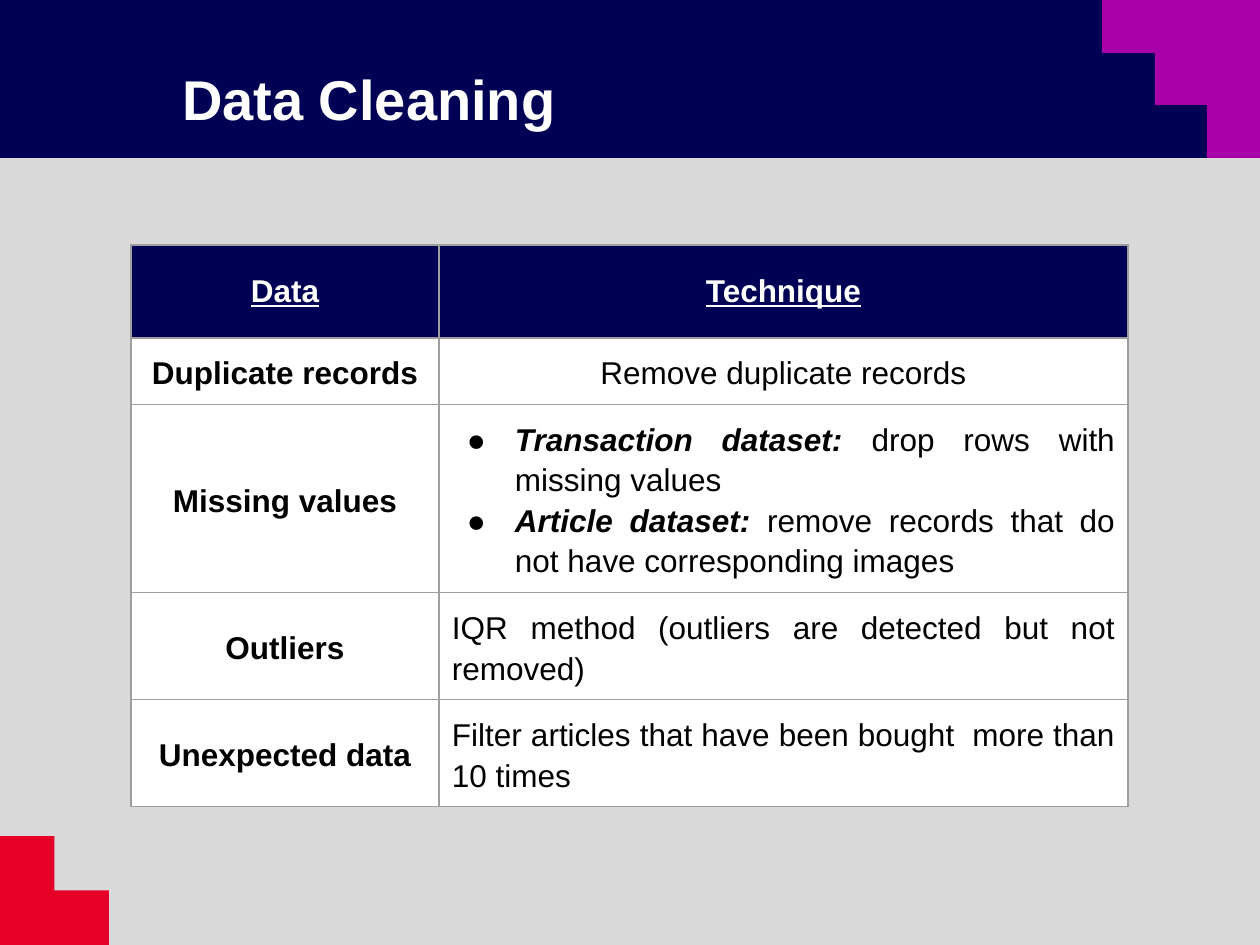
from dataclasses import dataclass

from lxml.etree import SubElement
from pptx import Presentation
from pptx.dml.color import RGBColor
from pptx.enum.shapes import MSO_SHAPE as Shape
from pptx.enum.text import MSO_ANCHOR as Anchor, MSO_AUTO_SIZE as Auto, PP_ALIGN as Align
from pptx.oxml.ns import qn
from pptx.util import Pt

SCALE = 914400 / 126  # EMU in one px
NAVY, RED, PLUM = "000054", "E60028", "AA00AA"
GRAY, LINE, WHITE, BLACK = "D9D9D9", "9E9E9E", "FFFFFF", "000000"
PAD = 13


@dataclass
class Line:
    text: str
    lead: str = ""  # bold italic words that open a bulleted line


@dataclass
class Row:
    height: int
    label: str
    lines: list[Line]
    align: Align = Align.JUSTIFY
    head: bool = False


COLS = [308, 689]
ROWS = [
    Row(93, "Data", [Line("Technique")], Align.CENTER, head=True),
    Row(66, "Duplicate records", [Line("Remove duplicate records")], Align.CENTER),
    Row(187, "Missing values", [
        Line(" drop rows with missing values", "Transaction dataset:"),
        Line(" remove records that do not have corresponding images", "Article dataset:"),
    ]),
    Row(106, "Outliers", [Line("IQR method (outliers are detected but not removed)")]),
    Row(106, "Unexpected data",
        [Line("Filter articles that have been bought  more than 10 times")]),
]


def px(n: int) -> int:
    return round(n * SCALE)


def color(code: str) -> RGBColor:
    return RGBColor.from_string(code)


def paint(item, code: str) -> None:
    item.fill.solid()
    item.fill.fore_color.rgb = color(code)


def plain(shape, code: str) -> None:
    paint(shape, code)
    shape.line.fill.background()
    shape.shadow.inherit = False


def block(shapes, kind: Shape, x: int, y: int, w: int, h: int, code: str) -> None:
    plain(shapes.add_shape(kind, px(x), px(y), px(w), px(h)), code)


def stairs(shapes) -> None:
    """Draw the three steps in the top right corner."""
    edges = [0, 53, 105, 158]
    left, right = 1102, 1260
    points = [(right, 0), (right, edges[-1])]
    for low, high in reversed(list(zip(edges, edges[1:]))):
        points += [(left + low, high), (left + low, low)]
    build = shapes.build_freeform(left, 0, scale=SCALE)
    build.add_line_segments(points, close=True)
    plain(build.convert_to_shape(), PLUM)


def style(font, size: int, code: str, bold: bool | None = None) -> None:
    font.name, font.size, font.bold = "Arial", Pt(size), bold
    font.color.rgb = color(code)


def border(cell) -> None:
    props = cell._tc.get_or_add_tcPr()
    for side in ("lnL", "lnR", "lnT", "lnB"):
        line = SubElement(props, qn(f"a:{side}"), w=str(Pt(0.75)))
        fill = SubElement(line, qn("a:solidFill"))
        SubElement(fill, qn("a:srgbClr"), val=LINE)


def bullet(para) -> None:
    props = para._p.get_or_add_pPr()
    props.set("marL", str(px(63)))
    props.set("indent", str(px(-48)))
    tint = SubElement(props, qn("a:buClr"))
    SubElement(tint, qn("a:srgbClr"), val=BLACK)
    SubElement(props, qn("a:buFont"), typeface="Arial")
    SubElement(props, qn("a:buChar"), char="●")


def write(cell, lines: list[Line], align: Align, bold: bool, head: bool) -> None:
    frame = cell.text_frame
    for i, line in enumerate(lines):
        para = frame.add_paragraph() if i else frame.paragraphs[0]
        para.alignment = align
        if not head:
            para.line_spacing = 1.15
        if line.lead:
            bullet(para)
            lead = para.add_run()
            lead.text = line.lead
            lead.font.bold = lead.font.italic = True
        para.add_run().text = line.text
        style(para.font, 18, WHITE if head else BLACK, bold)
        para.font.underline = head


def grid(shapes) -> None:
    high = sum(row.height for row in ROWS)
    table = shapes.add_table(len(ROWS), len(COLS), px(131), px(245),
                             px(sum(COLS)), px(high)).table
    table.first_row = table.horz_banding = False
    for col, width in zip(table.columns, COLS):
        col.width = px(width)
    for i, row in enumerate(ROWS):
        table.rows[i].height = px(row.height)
        label, body = table.cell(i, 0), table.cell(i, 1)
        for cell in (label, body):
            border(cell)
            paint(cell, NAVY if row.head else WHITE)
            cell.margin_left = cell.margin_right = px(PAD)
            cell.margin_top = cell.margin_bottom = px(PAD)
        label.vertical_anchor = Anchor.MIDDLE
        body.vertical_anchor = Anchor.MIDDLE if row.head else Anchor.TOP
        write(label, [Line(row.label)], Align.CENTER, True, row.head)
        write(body, row.lines, row.align, row.head, row.head)


def name(shapes, text: str) -> None:
    """Fill the title and bring it in front of the band."""
    title = shapes.title
    title.left, title.top, title.width, title.height = map(px, (169, 38, 1028, 120))
    frame = title.text_frame
    frame.text = text
    frame.auto_size = Auto.NONE
    frame.vertical_anchor = Anchor.MIDDLE
    frame.margin_left = frame.margin_right = px(PAD)
    frame.margin_top = frame.margin_bottom = px(PAD)
    para = frame.paragraphs[0]
    para.alignment = Align.LEFT
    style(para.font, 32, WHITE, True)
    shapes._spTree.append(title._element)


def main() -> None:
    deck = Presentation()
    deck.slide_width, deck.slide_height = px(1260), px(945)
    slide = deck.slides.add_slide(deck.slide_layouts[5])
    paint(slide.background, GRAY)
    shapes = slide.shapes
    block(shapes, Shape.RECTANGLE, 0, 0, 1260, 158, NAVY)
    block(shapes, Shape.CORNER, 0, 836, 109, 109, RED)
    stairs(shapes)
    name(shapes, "Data Cleaning")
    grid(shapes)
    deck.save("out.pptx")


if __name__ == "__main__":
    main()
